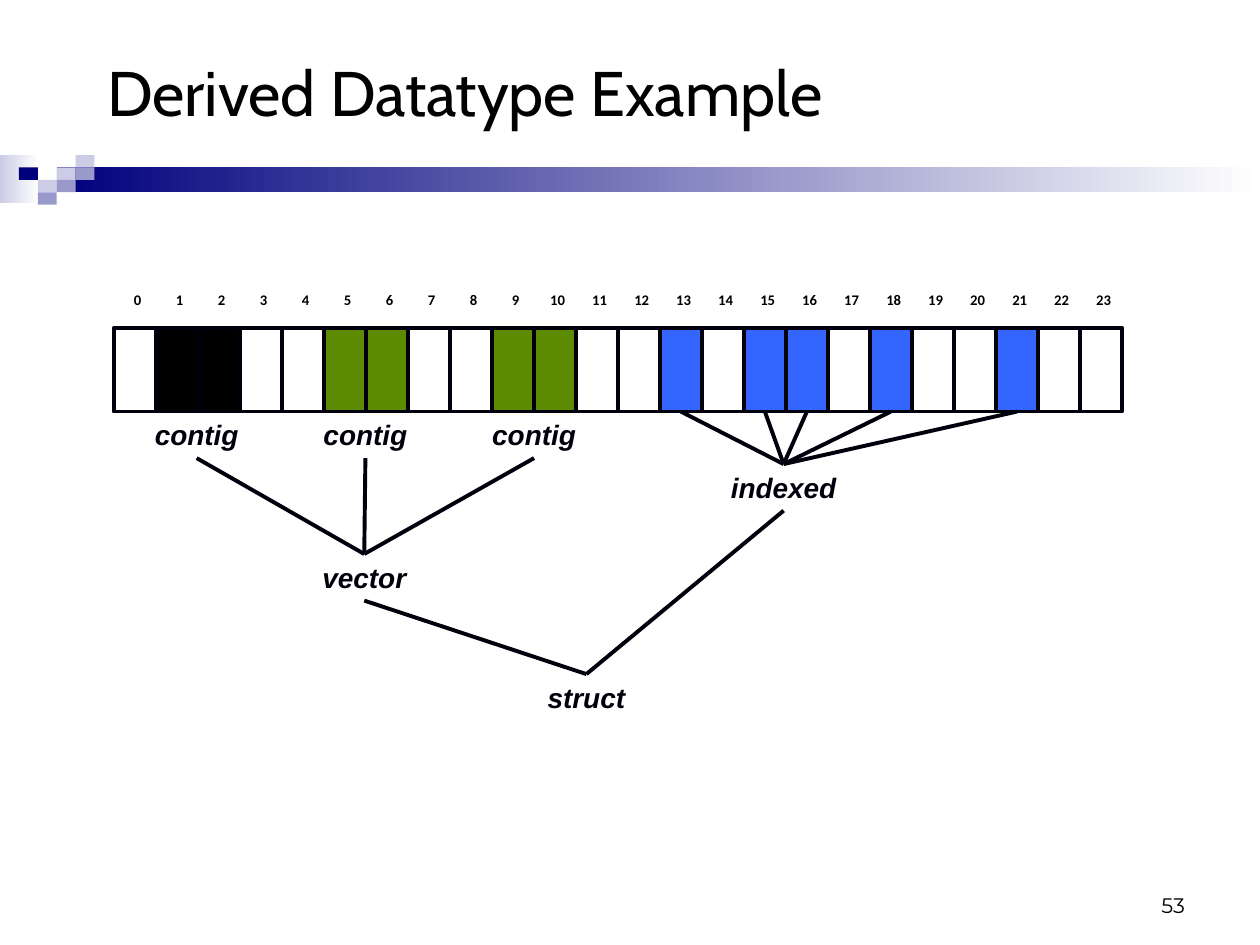
"""Build the slide that explains a derived datatype as a tree over memory cells."""
from dataclasses import dataclass

from lxml import etree
from pptx import Presentation
from pptx.dml.color import RGBColor
from pptx.enum.shapes import MSO_CONNECTOR, MSO_SHAPE
from pptx.enum.text import MSO_ANCHOR, PP_ALIGN
from pptx.oxml.ns import qn
from pptx.shapes.autoshape import Shape
from pptx.slide import Slide
from pptx.util import Pt

RECT, STRAIGHT = MSO_SHAPE.RECTANGLE, MSO_CONNECTOR.STRAIGHT
TOP, MIDDLE, BOTTOM = MSO_ANCHOR.TOP, MSO_ANCHOR.MIDDLE, MSO_ANCHOR.BOTTOM
LEFT, CENTER, RIGHT = PP_ALIGN.LEFT, PP_ALIGN.CENTER, PP_ALIGN.RIGHT
SIDE_TOP, SIDE_BOTTOM = 0, 2

COLORS = {
    "black": "000000", "white": "FFFFFF", "ink": "00000D", "green": "5C8A00",
    "blue": "3366FF", "navy": "00007D", "mid": "9999CC", "pale": "CCCCE6",
}
CELL_COUNT, CELL_X, CELL_Y, CELL_W, CELL_H = 24, 65.1, 187.2, 24, 48
NUMBER_Y, NUMBER_W, NUMBER_H = 163.2, 27.2, 18
LABEL_H, LINE_W = 26.6, 2.25
TILE_X, TILE_Y, TILE_W, TILE_H = 10.8, 88.6, 10.8, 7.1
INDEXED_CELLS = (13, 15, 16, 18, 21)
CELL_FILLS = {
    **dict.fromkeys((1, 2), "black"),
    **dict.fromkeys((5, 6, 9, 10), "green"),
    **dict.fromkeys(INDEXED_CELLS, "blue"),
}


@dataclass(frozen=True)
class Box:
    """A rectangle in points."""
    x: float
    y: float
    w: float
    h: float


@dataclass(frozen=True)
class TextStyle:
    """The look of a single-paragraph text."""
    font: str
    size: float
    color: str = "black"
    align: PP_ALIGN = CENTER
    anchor: MSO_ANCHOR = MIDDLE
    bold: bool = False
    italic: bool = False
    spacing: float = 1.0


@dataclass(frozen=True)
class Tile:
    """A small square of the header pattern."""
    col: int
    row: int
    color: str


TITLE = TextStyle("Cabin", 36, align=LEFT)
PAGE = TextStyle("Montserrat", 12, align=RIGHT, anchor=BOTTOM)
NUMBER = TextStyle("Calibri", 8.4, bold=True, spacing=0.8)
LABEL = TextStyle("Arial", 16, "ink", anchor=TOP, bold=True, italic=True)
TILES = (
    Tile(2, 1, "pale"), Tile(3, 0, "pale"), Tile(3, 1, "mid"), Tile(1, 2, "pale"),
    Tile(0, 1, "navy"), Tile(2, 2, "mid"), Tile(1, 3, "mid"),
)


def rgb(name: str) -> RGBColor:
    """Look up a named colour."""
    return RGBColor.from_string(COLORS[name])


def write(s: Shape, text: str, style: TextStyle, wrap: bool = False) -> None:
    """Put one styled paragraph into a shape."""
    tf = s.text_frame
    tf.word_wrap = wrap
    tf.vertical_anchor = style.anchor
    tf.text = text
    p = tf.paragraphs[0]
    p.alignment, p.line_spacing = style.align, style.spacing
    p.font.name, p.font.size = style.font, Pt(style.size)
    p.font.bold, p.font.italic = style.bold, style.italic
    p.font.color.rgb = rgb(style.color)


def add_rect(slide: Slide, box: Box, fill: str | None = None, line: str | None = None) -> Shape:
    """Add a rectangle with optional fill and outline."""
    s = slide.shapes.add_shape(RECT, Pt(box.x), Pt(box.y), Pt(box.w), Pt(box.h))
    s.shadow.inherit = False
    if fill:
        s.fill.solid()
        s.fill.fore_color.rgb = rgb(fill)
    else:
        s.fill.background()
    if line:
        s.line.color.rgb = rgb(line)
        s.line.width = Pt(LINE_W)
    else:
        s.line.fill.background()
    return s


def add_fade(slide: Slide, box: Box, color: str) -> None:
    """Add a rectangle that fades to white on the right."""
    s = add_rect(slide, box)
    s.fill.gradient()
    s.fill.gradient_angle = 0
    for stop, name, position in zip(s.fill.gradient_stops, (color, "white"), (0, 1)):
        stop.color.rgb = rgb(name)
        stop.position = position


def add_text(slide: Slide, box: Box, text: str, style: TextStyle, wrap: bool = False) -> Shape:
    """Add a text box."""
    s = slide.shapes.add_textbox(Pt(box.x), Pt(box.y), Pt(box.w), Pt(box.h))
    write(s, text, style, wrap)
    return s


def join(slide: Slide, upper: Shape, lower: Shape) -> None:
    """Connect the bottom of one shape to the top of another."""
    c = slide.shapes.add_connector(STRAIGHT, 0, 0, 0, 0)
    c.begin_connect(upper, SIDE_BOTTOM)
    c.end_connect(lower, SIDE_TOP)
    c.line.color.rgb = rgb("ink")
    c.line.width = Pt(LINE_W)
    etree.SubElement(c._element.spPr, qn("a:effectLst"))


def add_header(slide: Slide) -> None:
    """Draw the header band, its tiles and the title."""
    add_fade(slide, Box(0, TILE_Y, 22.3, 27.4), "pale")
    add_fade(slide, Box(32.4, TILE_Y + TILE_H, 687.6, 2 * TILE_H), "navy")
    for tile in TILES:
        x, y = TILE_X + tile.col * TILE_W, TILE_Y + tile.row * TILE_H
        add_rect(slide, Box(x, y, TILE_W, TILE_H), tile.color)
    s = slide.shapes.title
    s.left, s.top, s.width, s.height = Pt(54), Pt(20.2), Pt(606.2), Pt(64.1)
    write(s, "Derived Datatype Example", TITLE, wrap=True)


def add_cells(slide: Slide) -> list[Shape]:
    """Draw the numbered memory cells."""
    lefts = [CELL_X + i * CELL_W for i in range(CELL_COUNT)]
    cells = [add_rect(slide, Box(x, CELL_Y, CELL_W, CELL_H), CELL_FILLS.get(i), "ink")
             for i, x in enumerate(lefts)]
    for i, x in enumerate(lefts):
        s = add_rect(slide, Box(x, NUMBER_Y, NUMBER_W, NUMBER_H), line="white")
        write(s, str(i), NUMBER)
    return cells


def add_tree(slide: Slide, cells: list[Shape]) -> None:
    """Draw the datatype labels and the lines between them."""
    contigs = [add_text(slide, Box(76.4 + 96.4 * i, 235.2, 72, LABEL_H), "contig", LABEL)
               for i in range(3)]
    vector = add_text(slide, Box(175.4, 316.6, 65.5, LABEL_H), "vector", LABEL)
    indexed = add_text(slide, Box(404.6, 265.2, 86.4, LABEL_H), "indexed", LABEL)
    struct = add_text(slide, Box(305.2, 385.2, 59.8, LABEL_H), "struct", LABEL)
    for contig in contigs:
        join(slide, contig, vector)
    for i in INDEXED_CELLS:
        join(slide, cells[i], indexed)
    for part in (indexed, vector):
        join(slide, part, struct)


def main() -> None:
    """Create and save the presentation."""
    prs = Presentation()
    prs.slide_width, prs.slide_height = Pt(720), Pt(540)
    slide = prs.slides.add_slide(prs.slide_layouts[5])
    add_header(slide)
    add_text(slide, Box(516.2, 491.8, 168, 36), "53", PAGE, wrap=True)
    add_tree(slide, add_cells(slide))
    prs.save("out.pptx")


if __name__ == "__main__":
    main()
